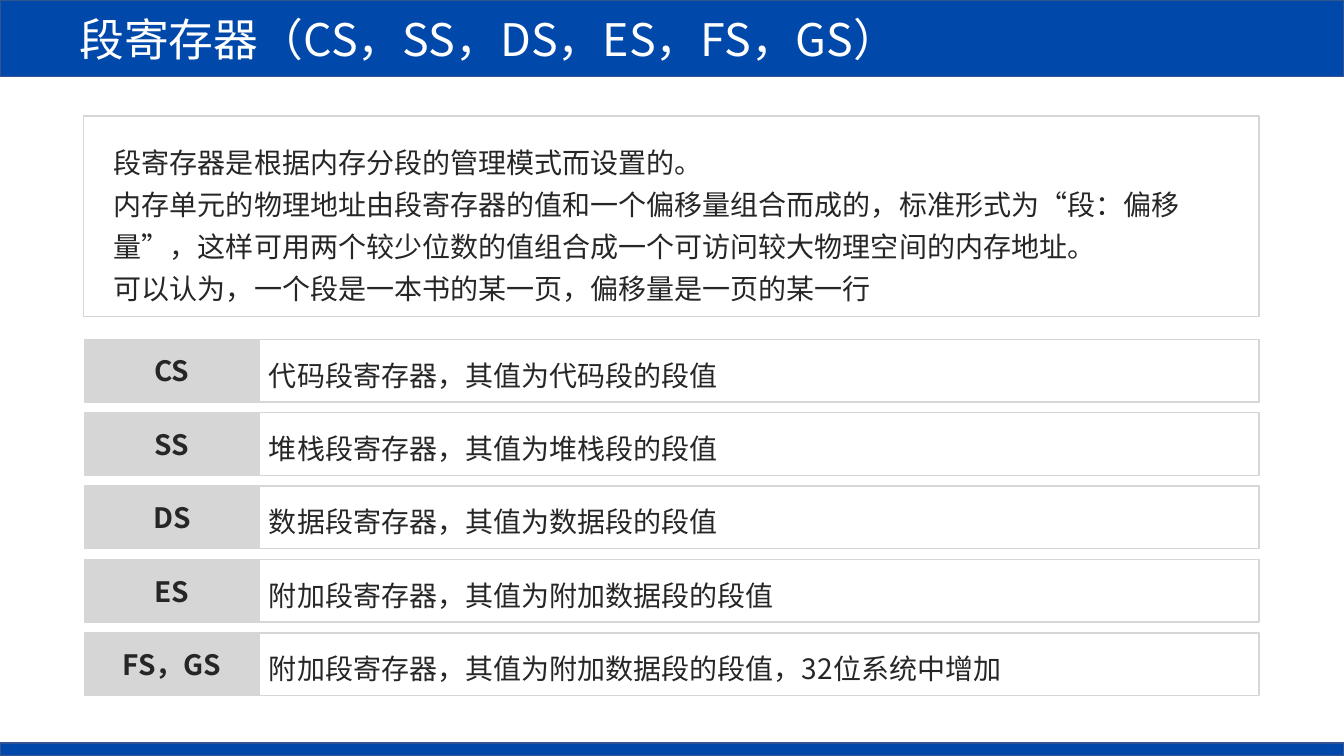
from lxml import etree
from pptx import Presentation
from pptx.dml.color import RGBColor
from pptx.enum.lang import MSO_LANGUAGE_ID
from pptx.enum.shapes import MSO_SHAPE
from pptx.enum.text import MSO_ANCHOR, MSO_AUTO_SIZE, PP_ALIGN
from pptx.oxml.ns import qn
from pptx.util import Cm, Pt

RECTANGLE = MSO_SHAPE.RECTANGLE
MIDDLE = MSO_ANCHOR.MIDDLE
LEFT, CENTER = PP_ALIGN.LEFT, PP_ALIGN.CENTER
NO_AUTOFIT = MSO_AUTO_SIZE.NONE
CHINESE = MSO_LANGUAGE_ID.SIMPLIFIED_CHINESE

FONT = "Noto Sans CJK SC"
COLORS = {
    "blue": "0048AA",
    "blue_edge": "325491",
    "gray": "D6D6D6",
    "ink": "262626",
    "white": "FFFFFF",
}
PAGE_WIDTH, PAGE_HEIGHT = 33.87, 19.05
FOOTER_HEIGHT = 0.33
ROW_TOP, ROW_PITCH, ROW_HEIGHT = 8.55, 1.85, 1.58
LABEL_LEFT, LABEL_WIDTH, MEANING_WIDTH = 2.13, 4.4, 25.2

TITLE = "段寄存器（CS，SS，DS，ES，FS，GS）"
INTRODUCTION = [
    "段寄存器是根据内存分段的管理模式而设置的。",
    "内存单元的物理地址由段寄存器的值和一个偏移量组合而成的，标准形式为“段：偏移量”，"
    "这样可用两个较少位数的值组合成一个可访问较大物理空间的内存地址。",
    "可以认为，一个段是一本书的某一页，偏移量是一页的某一行",
]
REGISTERS = [
    ("CS", "代码段寄存器，其值为代码段的段值"),
    ("SS", "堆栈段寄存器，其值为堆栈段的段值"),
    ("DS", "数据段寄存器，其值为数据段的段值"),
    ("ES", "附加段寄存器，其值为附加数据段的段值"),
    ("FS，GS", "附加段寄存器，其值为附加数据段的段值，32位系统中增加"),
]


def color(name):
    return RGBColor.from_string(COLORS[name])


def place(shape, left, top, width, height):
    shape.left, shape.top = Cm(left), Cm(top)
    shape.width, shape.height = Cm(width), Cm(height)


def paint(shape, fill, line):
    if fill:
        shape.fill.solid()
        shape.fill.fore_color.rgb = color(fill)
    else:
        shape.fill.background()
    shape.line.color.rgb = color(line)
    shape.line.width = Pt(1)


def write(shape, lines, size=20, ink="ink", bold=False, align=LEFT, spacing=1.0):
    frame = shape.text_frame
    frame.word_wrap = True
    for index, line in enumerate(lines):
        para = frame.add_paragraph() if index else frame.paragraphs[0]
        para.alignment = align
        para.line_spacing = spacing
        span = para.add_run()
        span.text = line
        span.font.size = Pt(size)
        span.font.bold = bold
        span.font.color.rgb = color(ink)
        span.font.name = FONT
        span.font.language_id = CHINESE
        # East Asian characters take their own typeface element
        latin = span.font._element.find(qn("a:latin"))
        east_asian = etree.Element(qn("a:ea"), typeface=FONT)
        latin.addnext(east_asian)


def add_box(page, left, top, width, height, fill, line):
    box = page.shapes.add_shape(RECTANGLE, Cm(left), Cm(top), Cm(width), Cm(height))
    box.shadow.inherit = False
    paint(box, fill, line)
    box.text_frame.vertical_anchor = MIDDLE
    return box


def add_title(page):
    title = page.shapes.title
    place(title, 0, 0, PAGE_WIDTH, 1.93)
    paint(title, "blue", "blue_edge")
    frame = title.text_frame
    frame.auto_size = NO_AUTOFIT
    frame.vertical_anchor = MIDDLE
    frame.margin_left = Cm(2)
    write(title, [TITLE], size=32, ink="white")


def add_introduction(page):
    add_box(page, 2.11, 2.92, 29.62, 5.05, None, "gray")
    text = page.shapes.add_textbox(Cm(2.62), Cm(3.33), Cm(28.6), Cm(4.45))
    write(text, INTRODUCTION, spacing=1.25)


def add_register(page, top, name, meaning):
    label = add_box(page, LABEL_LEFT, top, LABEL_WIDTH, ROW_HEIGHT, "gray", "gray")
    write(label, [name], bold=True, align=CENTER)
    detail = add_box(page, LABEL_LEFT + LABEL_WIDTH, top, MEANING_WIDTH, ROW_HEIGHT,
                     None, "gray")
    write(detail, [meaning], spacing=1.25)


def main():
    deck = Presentation()
    deck.slide_width, deck.slide_height = Cm(PAGE_WIDTH), Cm(PAGE_HEIGHT)
    page = deck.slides.add_slide(deck.slide_layouts.get_by_name("Title Only"))

    # Title bar and footer strip
    add_title(page)
    add_box(page, 0, PAGE_HEIGHT - FOOTER_HEIGHT, PAGE_WIDTH, FOOTER_HEIGHT,
            "blue", "blue_edge")

    # Explanation above the register list
    add_introduction(page)

    # One row per register
    for index, (name, meaning) in enumerate(REGISTERS):
        add_register(page, ROW_TOP + index * ROW_PITCH, name, meaning)

    deck.save("out.pptx")


if __name__ == "__main__":
    main()
